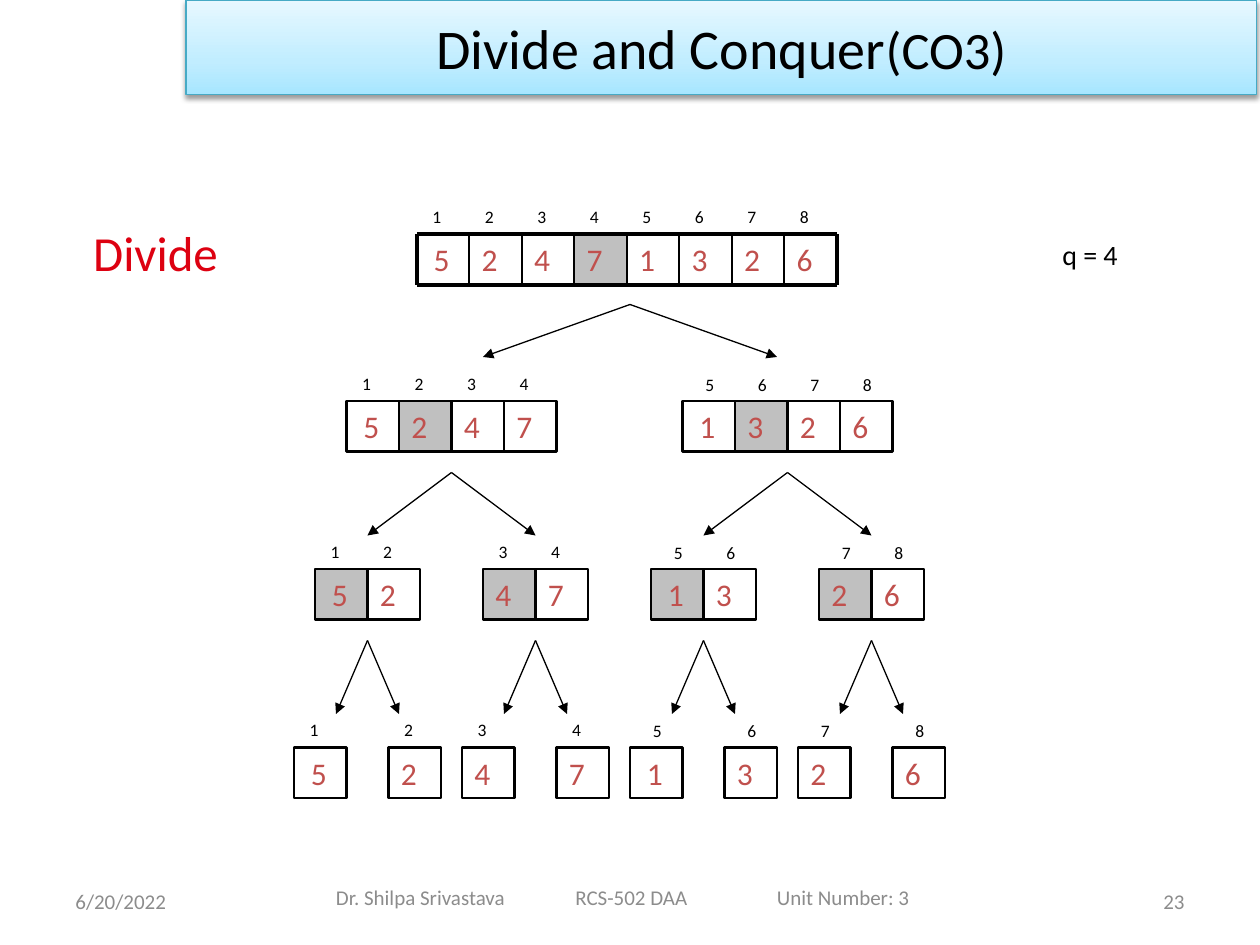
from copy import deepcopy
from dataclasses import dataclass

from pptx import Presentation
from pptx.dml.color import RGBColor
from pptx.enum.shapes import MSO_CONNECTOR, MSO_SHAPE
from pptx.enum.text import MSO_ANCHOR, MSO_AUTO_SIZE, PP_ALIGN
from pptx.oxml import parse_xml
from pptx.oxml.ns import nsdecls, qn
from pptx.util import Emu, Pt

PX = 7620  # 120 px to the inch


@dataclass(frozen=True)
class Theme:
    font: str = "Calibri"
    ink: str = "000000"
    value: str = "C0504D"
    pivot: str = "C0C0C0"
    heading: str = "DD0111"
    muted: str = "8C8C8C"
    banner_line: str = "46AAC5"
    banner: tuple = ((0, "A7E6FF"), (0.35, "C1EDFF"), (1, "E7F8FF"))
    title_size: int = 32
    course_size: int = 30
    heading_size: int = 28
    value_size: int = 18
    note_size: int = 16
    footer_size: int = 12
    index_size: int = 10


def px(*lengths):
    return [Emu(length * PX) for length in lengths]


def set_values(target, values):
    for name, value in values.items():
        setattr(target, name, value)


class SlideBuilder:
    def __init__(self, deck, theme):
        self.theme = theme
        self.slide = deck.slides.add_slide(deck.slide_layouts[5])

    def span(self, para, text, size, color):
        span = para.add_run()
        span.text = text
        set_values(span.font, {"name": self.theme.font, "size": Pt(size)})
        span.font.color.rgb = RGBColor.from_string(color)

    def title(self, bounds, spans):
        banner = self.slide.shapes.title
        set_values(banner, dict(zip(("left", "top", "width", "height"), px(*bounds))))
        banner.fill.gradient()
        banner.fill.gradient_angle = 90
        properties = banner.element.spPr
        stops = properties.find(".//" + qn("a:gsLst"))
        stops.append(deepcopy(stops[-1]))
        for stop, (position, color) in zip(banner.fill.gradient_stops, self.theme.banner):
            stop.position = position
            stop.color.rgb = RGBColor.from_string(color)
        banner.line.color.rgb = RGBColor.from_string(self.theme.banner_line)
        banner.line.width = Pt(0.75)
        properties.append(parse_xml(
            f'<a:effectLst {nsdecls("a")}><a:outerShdw blurRad="39400" dist="20300" '
            'dir="5400000" rotWithShape="0"><a:srgbClr val="000000">'
            '<a:alpha val="38000"/></a:srgbClr></a:outerShdw></a:effectLst>'))
        banner.text_frame.vertical_anchor = MSO_ANCHOR.MIDDLE
        para = banner.text_frame.paragraphs[0]
        para.alignment = PP_ALIGN.CENTER
        for text, size in spans:
            self.span(para, text, size, self.theme.ink)

    def text(self, bounds, text, size, color, align=PP_ALIGN.LEFT, tabs=(), box=None, **frame):
        box = box or self.slide.shapes.add_textbox(*px(*bounds))
        set_values(box.text_frame, {"word_wrap": True, **frame})
        para = box.text_frame.paragraphs[0]
        para.alignment = align
        if tabs:
            stops = "".join(f'<a:tab pos="{tab * PX}" algn="l"/>' for tab in tabs)
            para._p.get_or_add_pPr().append(
                parse_xml(f'<a:tabLst {nsdecls("a")}>{stops}</a:tabLst>'))
        self.span(para, text, size, color)

    def cell(self, left, top, text, pivot, outlined, lead):
        bounds = (left, top, CELL_WIDTH, CELL_HEIGHT)
        box = None
        if pivot or outlined:
            box = self.slide.shapes.add_shape(MSO_SHAPE.RECTANGLE, *px(*bounds))
            box.shadow.inherit = False
            if pivot:
                box.fill.solid()
                box.fill.fore_color.rgb = RGBColor.from_string(self.theme.pivot)
            else:
                box.fill.background()
            if outlined:
                box.line.color.rgb = RGBColor.from_string(self.theme.ink)
                box.line.width = Pt(1.5)
            else:
                box.line.fill.background()
        self.text(bounds, text, self.theme.value_size, self.theme.value, box=box,
                  margin_left=Emu((16 if lead else 12) * PX),
                  vertical_anchor=MSO_ANCHOR.MIDDLE if lead else MSO_ANCHOR.TOP)

    def line(self, start, end, width, arrow=False):
        line = self.slide.shapes.add_connector(MSO_CONNECTOR.STRAIGHT, *px(*start, *end))
        line.line.color.rgb = RGBColor.from_string(self.theme.ink)
        line.line.width = Pt(width)
        if arrow:
            line.line._get_or_add_ln().append(
                parse_xml(f'<a:tailEnd {nsdecls("a")} type="triangle"/>'))
        line.element.spPr.append(parse_xml(f'<a:effectLst {nsdecls("a")}/>'))

    def run(self, left, top, first, last, outlined=True):
        """Draw the array from index first to last with its pivot shaded."""
        pivot = (first + last) // 2 if last > first else None
        shift, rise = (10, 32) if first > 4 else (3, 33)
        for index in range(last, first - 1, -1):
            x = left + (index - first) * CELL_WIDTH
            self.text((x + shift, top - rise, 30, 32), str(index), self.theme.index_size,
                      self.theme.ink, auto_size=MSO_AUTO_SIZE.SHAPE_TO_FIT_TEXT)
            self.cell(x, top, str(VALUES[index - 1]), index == pivot, outlined,
                      index == first and first in (1, 5))

    def fork(self, x, top, spread, bottom):
        for end in (x - spread, x + spread):
            self.line((x, top), (end, bottom), 0.75, arrow=True)


VALUES = (5, 2, 4, 7, 1, 3, 2, 6)
CELL_WIDTH, CELL_HEIGHT = 50, 48
ROOT_LEFT, ROOT_TOP = 397, 223
# Each level: run length, top, left edge of every run
LEVELS = (
    (4, 382, (330, 650)),
    (2, 542, (300, 460, 620, 780)),
    (1, 712, (280, 370, 440, 530, 600, 690, 760, 850)),
)
# Each level of arrows: starting points, top, spread, bottom
FORKS = (
    ((600,), 290, 140, 340),
    ((430, 750), 450, 80, 510),
    ((350, 510, 670, 830), 610, 30, 680),
)


def main():
    deck = Presentation()
    deck.slide_width, deck.slide_height = px(1200, 900)
    theme = Theme()
    page = SlideBuilder(deck, theme)

    # Title and side labels
    page.title((177, 0, 1020, 90), (("Divide and Conquer", theme.title_size),
                                    ("(CO3)", theme.course_size)))
    page.text((77, 206, 154, 68), "Divide", theme.heading_size, theme.heading,
              word_wrap=False, auto_size=MSO_AUTO_SIZE.SHAPE_TO_FIT_TEXT)
    page.text((1000, 220, 130, 44), "q = 4", theme.note_size, theme.ink,
              auto_size=MSO_AUTO_SIZE.SHAPE_TO_FIT_TEXT)

    # Full array with a heavy frame
    page.run(ROOT_LEFT, ROOT_TOP, 1, len(VALUES), outlined=False)
    right, bottom = ROOT_LEFT + len(VALUES) * CELL_WIDTH, ROOT_TOP + CELL_HEIGHT
    for y in (ROOT_TOP, bottom):
        page.line((ROOT_LEFT, y), (right, y), 2.25)
    for x in range(ROOT_LEFT, right + 1, CELL_WIDTH):
        page.line((x, ROOT_TOP), (x, bottom), 2.25 if x in (ROOT_LEFT, right) else 1)

    # Halves, quarters and single cells
    for length, top, lefts in LEVELS:
        for number, left in enumerate(lefts):
            first = number * length + 1
            page.run(left, top, first, first + length - 1)

    # Arrows between levels
    for starts, top, spread, end in FORKS:
        for x in starts:
            page.fork(x, top, spread, end)

    # Footer
    footer = {"size": theme.footer_size, "color": theme.muted,
              "vertical_anchor": MSO_ANCHOR.MIDDLE}
    page.text((230, 830, 650, 48), "Dr. Shilpa Srivastava\tRCS-502 DAA\tUnit Number: 3",
              tabs=(228, 420), margin_left=Emu(90 * PX), margin_right=0, **footer)
    page.text((60, 834, 280, 48), "6/20/2022", **footer)
    page.text((860, 834, 280, 48), "23", align=PP_ALIGN.RIGHT, **footer)

    deck.save("out.pptx")


if __name__ == "__main__":
    main()
